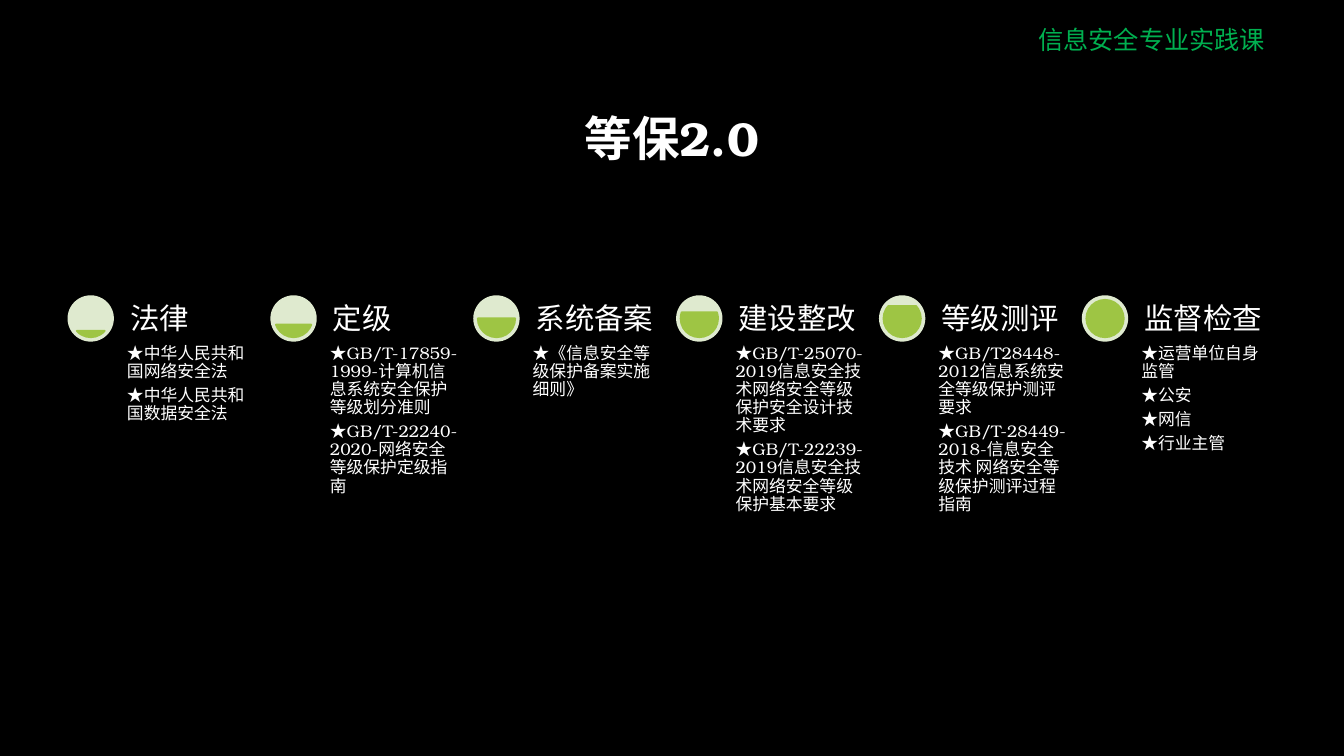
from math import asin, degrees

from lxml import etree
from pptx import Presentation
from pptx.dml.color import RGBColor
from pptx.enum.shapes import MSO_SHAPE
from pptx.enum.text import MSO_ANCHOR, MSO_AUTO_SIZE, PP_ALIGN
from pptx.oxml.ns import qn
from pptx.util import Inches, Pt

ELLIPSE, CHORD = MSO_SHAPE.OVAL, MSO_SHAPE.CHORD
TOP, MIDDLE, BOTTOM = MSO_ANCHOR.TOP, MSO_ANCHOR.MIDDLE, MSO_ANCHOR.BOTTOM
LEFT, CENTER = PP_ALIGN.LEFT, PP_ALIGN.CENTER
FIT_SHAPE = MSO_AUTO_SIZE.SHAPE_TO_FIT_TEXT

COLORS = {
    "background": "000000",
    "text": "FFFFFF",
    "course": "00B050",
    "dial": "DFEACF",
    "level": "9EC544",
}
SERIF = "TeX Gyre Bonum"
SANS = "Noto Sans CJK SC"

STAGES = [
    ("法律", ["中华人民共和国网络安全法", "中华人民共和国数据安全法"]),
    ("定级", [
        "GB/T-17859-1999-计算机信息系统安全保护等级划分准则",
        "GB/T-22240-2020-网络安全等级保护定级指南",
    ]),
    ("系统备案", ["《信息安全等级保护备案实施细则》"]),
    ("建设整改", [
        "GB/T-25070-2019信息安全技术网络安全等级保护安全设计技术要求",
        "GB/T-22239-2019信息安全技术网络安全等级保护基本要求",
    ]),
    ("等级测评", [
        "GB/T28448-2012信息系统安全等级保护测评要求",
        "GB/T-28449-2018-信息安全技术 网络安全等级保护测评过程指南",
    ]),
    ("监督检查", ["运营单位自身监管", "公安", "网信", "行业主管"]),
]


def color(name):
    return RGBColor.from_string(COLORS[name])


def set_all(target, values):
    for name, value in values.items():
        setattr(target, name, value)


def add_text(page, box, paragraphs, size, anchor=TOP, inset=None,
             paint="text", bold=None, wrap=True, **para_format):
    shape = page.shapes.add_textbox(*map(Inches, box))
    frame = shape.text_frame
    set_all(frame, {"word_wrap": wrap, "vertical_anchor": anchor})
    if inset is not None:
        for side in ("left", "top", "right", "bottom"):
            setattr(frame, f"margin_{side}", Inches(inset))
    for index, spans in enumerate(paragraphs):
        para = frame.add_paragraph() if index else frame.paragraphs[0]
        set_all(para, para_format)
        for text, font_name in spans:
            span = para.add_run()
            span.text = text
            set_all(span.font, {"name": font_name, "size": Pt(size), "bold": bold})
            span.font.color.rgb = color(paint)
            latin = span.font._element.find(qn("a:latin"))
            east_asian = etree.Element(qn("a:ea"), typeface=SANS)
            latin.addnext(east_asian)
    return frame


def add_disc(page, kind, box, paint):
    disc = page.shapes.add_shape(kind, *map(Inches, box))
    disc.shadow.inherit = False
    disc.fill.solid()
    disc.fill.fore_color.rgb = color(paint)
    disc.line.fill.background()
    return disc


def add_dial(page, box, share):
    left, top, side, _ = box
    add_disc(page, ELLIPSE, box, "dial")
    gap = side / 10
    inner = side - 2 * gap
    level = add_disc(page, CHORD, (left + gap, top + gap, inner, inner), "level")
    level.line.color.rgb = color("level")
    level.line.width = Pt(1.5)
    angle = degrees(asin(1 - 2 * share))
    level.adjustments[0] = angle % 360 * 0.6
    level.adjustments[1] = (180 - angle) * 0.6


def add_stage(page, box, heading, items, share):
    left, top, width, height = box
    dial = 0.46
    text_left = left + 0.56
    text_width = width - 0.56
    spacing = {"line_spacing": 0.9}
    add_dial(page, (left, top, dial, dial), share)
    add_text(page, (text_left, top + dial, text_width, height - dial),
             [[("★", SANS), (item, SERIF)] for item in items], 12,
             inset=0.03, space_after=Pt(4.2), **spacing)
    add_text(page, (text_left, top, text_width, dial), [[(heading, SERIF)]], 21,
             anchor=BOTTOM, inset=0.06, space_after=Pt(7.35), **spacing)


def add_stages(page, box):
    left, top, width, height = box
    stage_width = 1.92
    pitch = (width - stage_width) / (len(STAGES) - 1)
    for index, (heading, items) in enumerate(STAGES):
        add_stage(page, (left + index * pitch, top, stage_width, height),
                  heading, items, (index + 1) / len(STAGES))


def add_header(page, box):
    frame = add_text(page, box, [[("信息安全专业实践课", SANS)]], 18,
                     paint="course", wrap=False, alignment=LEFT)
    frame.auto_size = FIT_SHAPE


def add_title(page, box):
    add_text(page, box, [[("等保2.0", SERIF)]], 34, anchor=MIDDLE,
             bold=True, alignment=CENTER, line_spacing=0.9)


def main():
    deck = Presentation()
    set_all(deck, {"slide_width": Inches(13.33), "slide_height": Inches(7.5)})
    page = deck.slides.add_slide(deck.slide_layouts[6])
    page.background.fill.solid()
    page.background.fill.fore_color.rgb = color("background")
    add_header(page, (10.2, 0.19, 2.47, 0.4))
    add_title(page, (1, 0.67, 11.32, 1.45))
    add_stages(page, (0.67, 2.93, 11.98, 2.4))
    deck.save("out.pptx")


if __name__ == "__main__":
    main()
